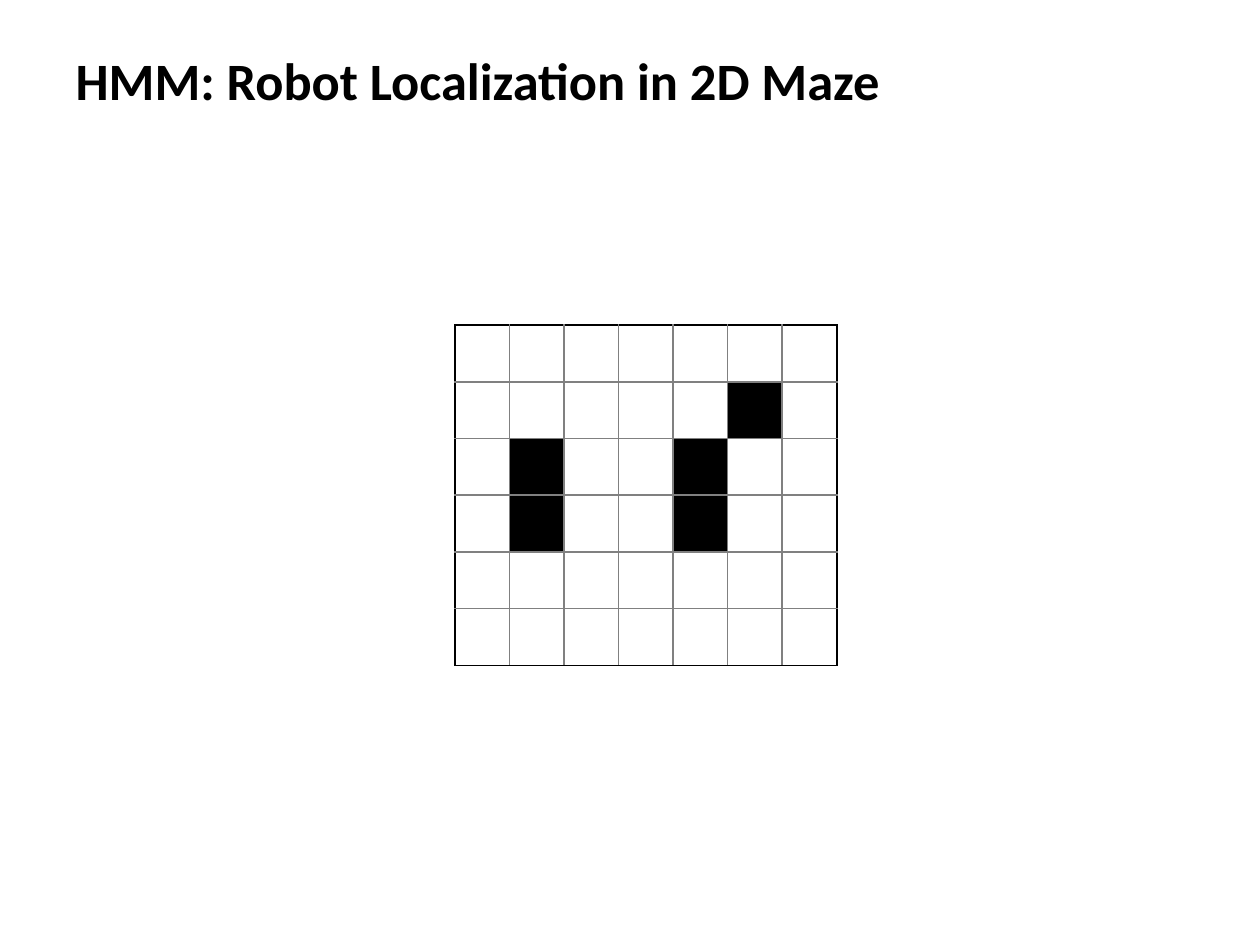
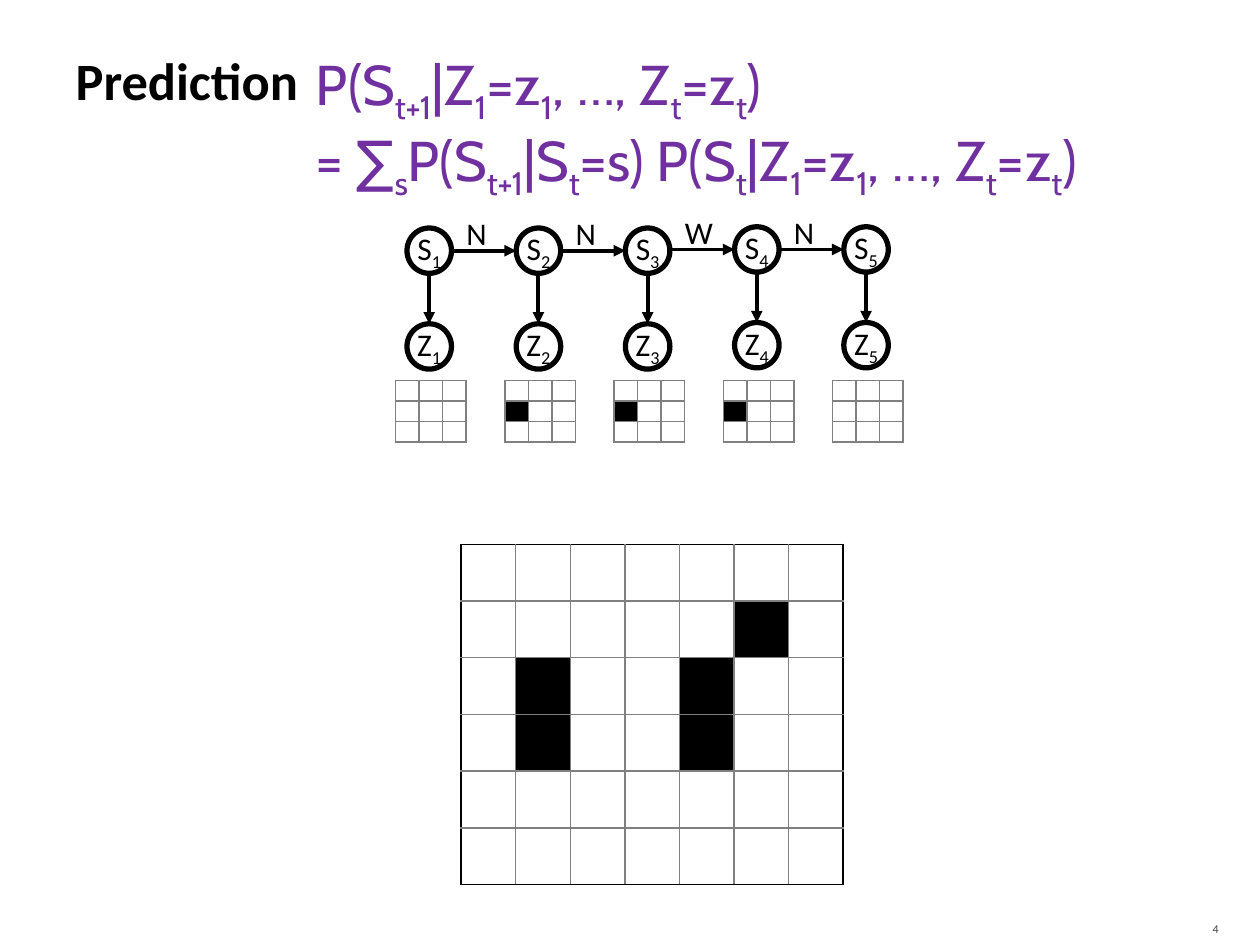
"""Build two slides on locating a robot in a maze with a hidden Markov model."""
from dataclasses import dataclass

from lxml import etree
from pptx import Presentation
from pptx import util as u
from pptx.dml.color import RGBColor
from pptx.enum import shapes, text
from pptx.oxml import ns

PX = 3048
BLACK, WHITE, GREY, DARK, PURPLE = "000000", "FFFFFF", "808080", "454545", "7030A0"
FONT, FORMULA_FONT = "Calibri", "Cabin"
FORMULA = (
    "P(S_t+1_|Z_1_=z_1_, …, Z_t_=z_t_)",
    "= ∑_s_P(S_t+1_|S_t_=s) P(S_t_|Z_1_=z_1_, …, Z_t_=z_t_)",
)
NODE_WIDTH, NODE_HEIGHT, NODE_PITCH, CHAIN_LEFT = 106, 108, 260, 969
SENSOR_DROP = 228


@dataclass(frozen=True)
class Box:
    left: int
    top: int
    width: int
    height: int

    def emu(self) -> tuple[int, ...]:
        """Return the box as lengths in EMU."""
        return tuple(px(n) for n in (self.left, self.top, self.width, self.height))


@dataclass(frozen=True)
class Grid:
    rows: tuple[str, ...]
    cell_width: int
    cell_height: int
    edge: str


@dataclass(frozen=True)
class Step:
    top: int
    move: str
    reading: Grid


MAZE = Grid(
    (".......", ".....#.", ".#..#..", ".#..#..", ".......", "......."), 130, 135, BLACK
)
CLEAR = Grid(("...", "...", "..."), 56, 49, GREY)
WALL_WEST = Grid(("...", "#..", "..."), 56, 49, GREY)
STEPS = (
    Step(543, "", CLEAR),
    Step(543, "N", WALL_WEST),
    Step(543, "N", WALL_WEST),
    Step(540, "W", WALL_WEST),
    Step(540, "N", CLEAR),
)


def px(length: int) -> int:
    """Turn px into EMU."""
    return u.Emu(length * PX)


def rgb(value: str) -> RGBColor:
    """Turn a hex string into a colour."""
    return RGBColor.from_string(value)


def write(shape, lines, size, color=BLACK, font=FONT, bold=False,
          align=text.PP_ALIGN.LEFT, insets=(30, 15, 30, 15),
          anchor=text.MSO_ANCHOR.MIDDLE, wrap=True) -> None:
    """Fill a shape with lines whose subscripts stand between underscores."""
    frame = shape.text_frame
    frame.word_wrap, frame.vertical_anchor = wrap, anchor
    frame.margin_left, frame.margin_top, frame.margin_right, frame.margin_bottom = map(
        px, insets
    )
    for number, line in enumerate(lines):
        paragraph = frame.add_paragraph() if number else frame.paragraphs[0]
        paragraph.alignment = align
        paragraph.font.size, paragraph.font.name = u.Pt(size), font
        paragraph.font.bold, paragraph.font.color.rgb = bold, rgb(color)
        for index, part in enumerate(line.split("_")):
            if part:
                run = paragraph.add_run()
                run.text = part
                if index % 2:
                    run.font._element.set("baseline", "-25000")


def add_titled_slide(presentation, title: str):
    """Add a slide with the shared title style."""
    slide = presentation.slides.add_slide(presentation.slide_layouts[5])
    shape = slide.shapes.title
    shape.left, shape.top, shape.width, shape.height = Box(150, 51, 2700, 276).emu()
    write(shape, [title], 30, bold=True, insets=(30, 15, 15, 15))
    return slide


def add_label(slide, box: Box, lines, size, **style) -> None:
    """Add a text box."""
    write(slide.shapes.add_textbox(*box.emu()), lines, size, **style)


def set_border(cell, side: str, color: str) -> None:
    """Draw one side of a cell as a thin line."""
    line = etree.SubElement(cell._tc.get_or_add_tcPr(), ns.qn(f"a:ln{side}"), w="12700")
    fill = etree.SubElement(line, ns.qn("a:solidFill"))
    etree.SubElement(fill, ns.qn("a:srgbClr"), val=color)


def add_grid(slide, left: int, top: int, grid: Grid) -> None:
    """Draw a grid as a table with walls filled black."""
    row_count, column_count = len(grid.rows), len(grid.rows[0])
    box = Box(left, top, column_count * grid.cell_width, row_count * grid.cell_height)
    table = slide.shapes.add_table(row_count, column_count, *box.emu()).table
    table.first_row = table.horz_banding = False
    for row, marks in enumerate(grid.rows):
        for column, mark in enumerate(marks):
            cell = table.cell(row, column)
            cell.margin_left = cell.margin_right = 0
            cell.margin_top = cell.margin_bottom = 0
            paragraph = cell.text_frame.paragraphs[0]
            etree.SubElement(paragraph._p, ns.qn("a:endParaRPr"), sz="400")
            on_edge = {
                "L": column == 0,
                "R": column == column_count - 1,
                "T": row == 0,
                "B": row == row_count - 1,
            }
            for side, outer in on_edge.items():
                set_border(cell, side, grid.edge if outer else GREY)
            cell.fill.solid()
            cell.fill.fore_color.rgb = rgb(BLACK if mark == "#" else WHITE)


def add_node(slide, left: int, top: int, label: str) -> None:
    """Draw one variable as a ring."""
    box = Box(left, top, NODE_WIDTH, NODE_HEIGHT)
    shape = slide.shapes.add_shape(shapes.MSO_SHAPE.OVAL, *box.emu())
    shape.shadow.inherit = False
    shape.fill.background()
    shape.line.color.rgb, shape.line.width = rgb(BLACK), u.Pt(3)
    write(shape, [label], 18, align=text.PP_ALIGN.CENTER, insets=(0, 0, 0, 0))


def add_arrow(slide, start: tuple[int, int], end: tuple[int, int]) -> None:
    """Draw a straight arrow."""
    arrow = slide.shapes.add_connector(
        shapes.MSO_CONNECTOR.STRAIGHT, *map(px, start + end)
    )
    arrow.line.color.rgb, arrow.line.width = rgb(BLACK), u.Pt(2.25)
    etree.SubElement(arrow.line._get_or_add_ln(), ns.qn("a:tailEnd"), type="triangle")
    etree.SubElement(arrow._element.spPr, ns.qn("a:effectLst"))


def add_step(slide, index: int, step: Step) -> None:
    """Draw a state, its sensor reading and the move that led to it."""
    left = CHAIN_LEFT + index * NODE_PITCH
    center, middle = left + NODE_WIDTH // 2, step.top + NODE_HEIGHT // 2
    sensor_top = step.top + SENSOR_DROP
    add_node(slide, left, step.top, f"S_{index + 1}_")
    add_node(slide, left, sensor_top, f"Z_{index + 1}_")
    add_arrow(slide, (center, step.top + NODE_HEIGHT), (center, sensor_top))
    if step.move:
        previous = left - NODE_PITCH
        add_arrow(slide, (previous + NODE_WIDTH, middle), (left, middle))
        width = 129 if step.move == "W" else 108
        add_label(slide, Box(previous + 112, step.top - 48, width, 120), [step.move], 18,
                  anchor=text.MSO_ANCHOR.TOP, wrap=False)
    add_grid(slide, left - 27, 906, step.reading)


def main() -> None:
    """Build and save the presentation."""
    presentation = Presentation()
    presentation.slide_width, presentation.slide_height = px(3000), px(2250)

    maze_slide = add_titled_slide(presentation, "HMM: Robot Localization in 2D Maze")
    add_grid(maze_slide, 1083, 774, MAZE)

    prediction_slide = add_titled_slide(presentation, "Prediction")
    add_label(prediction_slide, Box(2691, 2160, 240, 90), ["4"], 6.8, color=DARK,
              align=text.PP_ALIGN.RIGHT, insets=(30, 15, 30, 0))
    for index, step in enumerate(STEPS):
        add_step(prediction_slide, index, step)
    add_grid(prediction_slide, 1098, 1296, MAZE)
    add_label(prediction_slide, Box(723, 102, 2160, 354), FORMULA, 32, color=PURPLE,
              font=FORMULA_FONT, anchor=text.MSO_ANCHOR.TOP)

    presentation.save("out.pptx")


if __name__ == "__main__":
    main()
